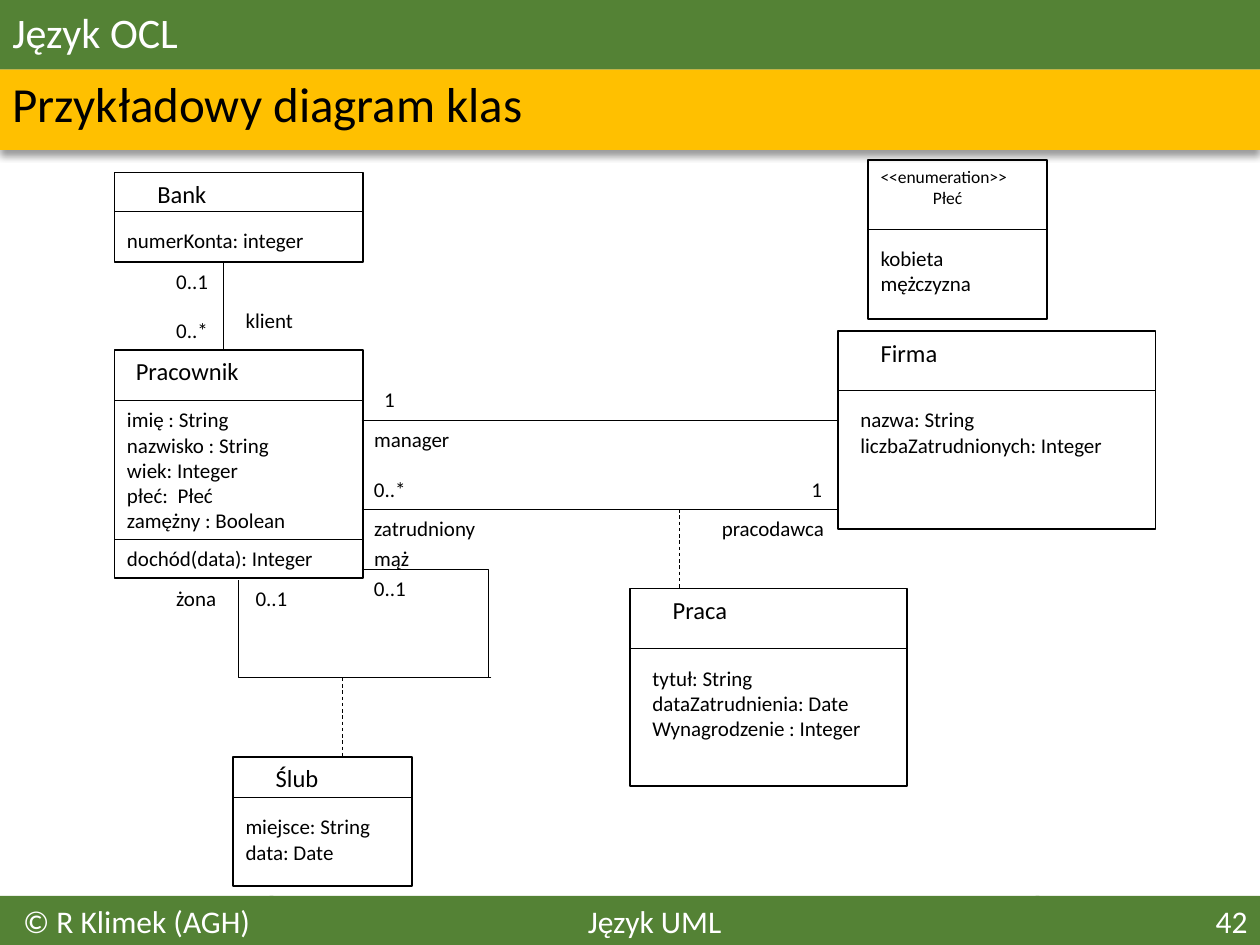
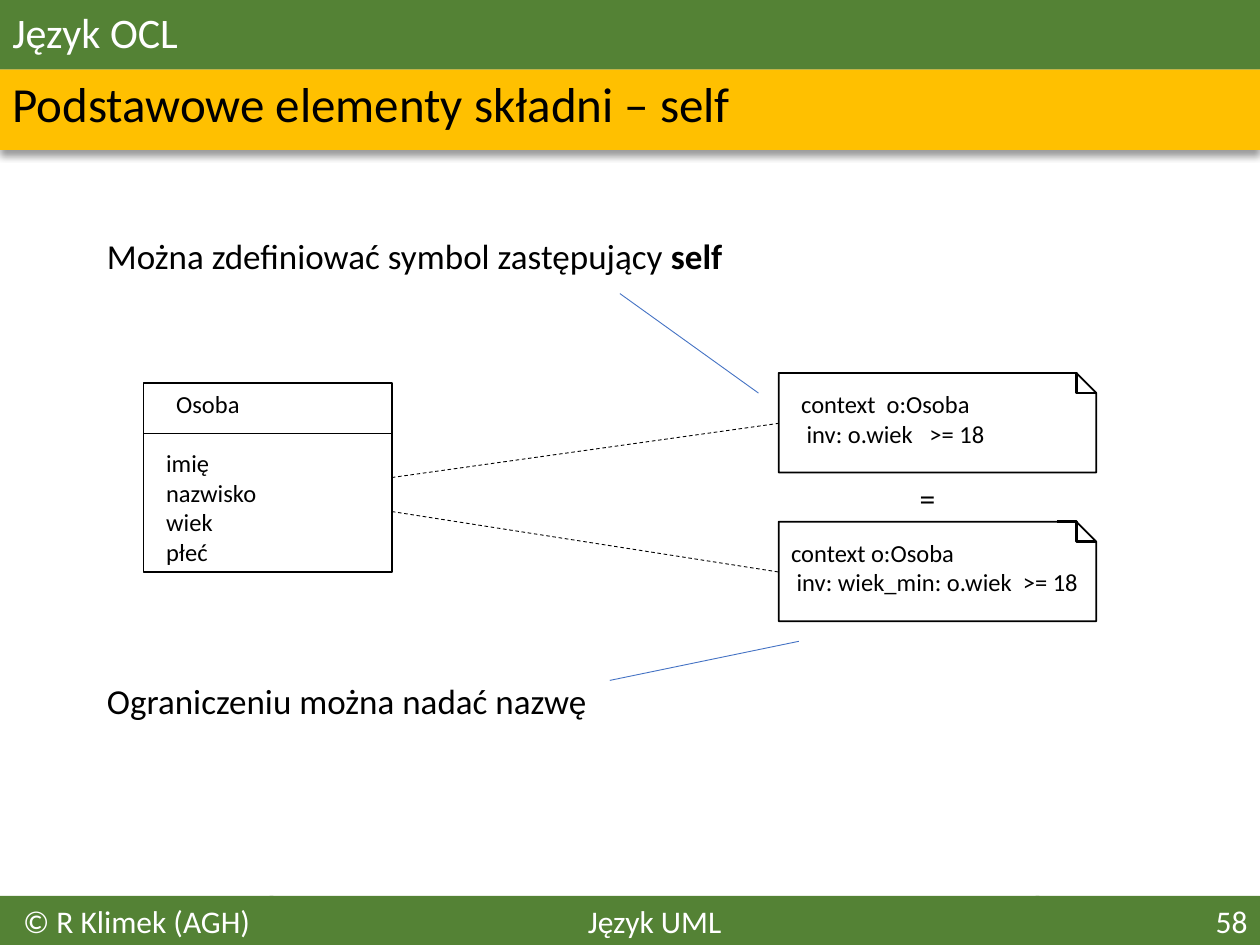
import pptx
import pptx.dml.color
import pptx.enum.dml
import pptx.enum.shapes
import pptx.enum.text
import pptx.oxml
import pptx.oxml.ns
import pptx.util
from pptx.util import Inches

GREEN = pptx.dml.color.RGBColor(0x54, 0x82, 0x35)
AMBER = pptx.dml.color.RGBColor(0xFF, 0xC0, 0x00)
BLUE = pptx.dml.color.RGBColor(0x44, 0x72, 0xC4)
BLACK = pptx.dml.color.RGBColor(0, 0, 0)
WHITE = pptx.dml.color.RGBColor(0xFF, 0xFF, 0xFF)

FONT = "Calibri"
LEFT, CENTER, RIGHT = (pptx.enum.text.PP_ALIGN.LEFT, pptx.enum.text.PP_ALIGN.CENTER,
                       pptx.enum.text.PP_ALIGN.RIGHT)
TOP, MIDDLE = pptx.enum.text.MSO_ANCHOR.TOP, pptx.enum.text.MSO_ANCHOR.MIDDLE
PRESET = pptx.enum.shapes.MSO_SHAPE
CONNECTOR = pptx.enum.shapes.MSO_CONNECTOR
FIT = pptx.enum.text.MSO_AUTO_SIZE.SHAPE_TO_FIT_TEXT
BAND_SHADOW = (
    f'<a:effectLst {pptx.oxml.ns.nsdecls("a")}>'
    '<a:outerShdw blurRad="50800" dist="38100" dir="5400000" algn="t" rotWithShape="0">'
    '<a:srgbClr val="000000"><a:alpha val="40000"/></a:srgbClr>'
    '</a:outerShdw></a:effectLst>')


def apply_formats(target, formats):
    """Set every attribute named in formats on target."""
    for attribute, value in formats.items():
        setattr(target, attribute, value)


def write(shape, lines, size, color=BLACK, aligns=(LEFT,), anchor=TOP, wrap=True, spacing=None):
    """Fill a shape with paragraphs, each a string or a list of (text, bold) runs."""
    frame = shape.text_frame
    apply_formats(frame, {"word_wrap": wrap, "vertical_anchor": anchor})
    for index, line in enumerate(lines):
        paragraph = frame.add_paragraph() if index else frame.paragraphs[0]
        apply_formats(paragraph, {"alignment": aligns[min(index, len(aligns) - 1)],
                                  "line_spacing": spacing})
        for text, bold in [(line, False)] if isinstance(line, str) else line:
            run = paragraph.add_run()
            run.text = text
            apply_formats(run.font, {"name": FONT, "size": pptx.util.Pt(size), "bold": bold})
            run.font.color.rgb = color


def add_text(slide, box, lines, size, **formats):
    """Add a text box at box, given in inches."""
    text = slide.shapes.add_textbox(*map(Inches, box))
    write(text, lines, size, **formats)
    return text


def add_label(slide, box, text, size=12):
    """Add a short label that stays on one line."""
    label = add_text(slide, box, [text], size, wrap=False)
    label.text_frame.auto_size = FIT


def add_panel(slide, box, fill=None, outline=None, preset=PRESET.RECTANGLE):
    """Add a flat preset shape."""
    panel = slide.shapes.add_shape(preset, *map(Inches, box))
    panel.shadow.inherit = False
    if fill is None:
        panel.fill.background()
    else:
        panel.fill.solid()
        panel.fill.fore_color.rgb = fill
    if outline is None:
        panel.line.fill.background()
    else:
        panel.line.color.rgb = outline
        panel.line.width = pptx.util.Pt(1)
    return panel


def add_line(slide, start, end, color=BLACK, width=0.5, dashed=False, kind=CONNECTOR.STRAIGHT):
    """Add a connector without a shadow."""
    line = slide.shapes.add_connector(kind, *map(Inches, (*start, *end)))
    line.line.color.rgb = color
    line.line.width = pptx.util.Pt(width)
    if dashed:
        line.line.dash_style = pptx.enum.dml.MSO_LINE.DASH
    line._element.spPr.append(pptx.oxml.parse_xml(f'<a:effectLst {pptx.oxml.ns.nsdecls("a")}/>'))
    return line


def add_frame(slide, heading, number):
    """Draw the header, the heading band and the footer."""
    band = add_panel(slide, (0, 0.55, 10, 0.64), AMBER)
    properties = band._element.spPr
    properties.remove(properties.find(pptx.oxml.ns.qn("a:effectLst")))
    properties.append(pptx.oxml.parse_xml(BAND_SHADOW))
    add_text(slide, (0, 0.55, 9.98, 0.59), [heading], 28, anchor=MIDDLE, spacing=0.9)
    header = add_panel(slide, (0, 0, 10, 0.55), GREEN)
    write(header, ["Język OCL"], 24, WHITE, anchor=MIDDLE, spacing=0.9)
    for left, width, text, align in ((2.14, 6.11, "Język UML", CENTER),
                                     (0, 2.17, "© R Klimek (AGH)", CENTER),
                                     (8.22, 1.78, number, RIGHT)):
        footer = add_panel(slide, (left, 7.11, width, 0.39), GREEN)
        write(footer, [text], 18, WHITE, (align,))


def add_uml_class(slide, box, name, indent, compartments, name_size=14, size=12):
    """Draw a class; a compartment is (divider offset, text indent, gap, lines)."""
    left, top, width, height = box
    add_panel(slide, box, outline=BLACK)
    add_text(slide, (left + indent, top, 1.26, 0.34), name, name_size, aligns=(LEFT, CENTER))
    for offset, inset, gap, lines in compartments:
        divider = top + offset
        add_line(slide, (left, divider), (left + width, divider))
        add_text(slide, (left + inset, divider + gap, width - inset, height - offset - gap),
                 lines, size)


def add_note(slide, box, text_left, lines):
    """Draw a note with a folded corner."""
    left, top, width, height = box
    note = add_panel(slide, box, WHITE, BLACK, PRESET.SNIP_1_RECTANGLE)
    note.adjustments[0] = 0.2
    right = left + width
    add_line(slide, (right - 0.31, top), (right, top + 0.16), width=1.5, kind=CONNECTOR.ELBOW)
    add_text(slide, (left + text_left, top + 0.08, width - text_left, 0.57), lines, 14)


def add_marriage_loop(slide, husband_end, corner, wife_end):
    """Draw the association of the employee class with itself."""
    upper = add_line(slide, husband_end, corner, kind=CONNECTOR.ELBOW)
    guides = upper._element.spPr.prstGeom.get_or_add_avLst()
    guides.append(pptx.oxml.parse_xml(
        f'<a:gd {pptx.oxml.ns.nsdecls("a")} name="adj1" fmla="val 97900"/>'))
    lower = add_line(slide, corner, wife_end, kind=CONNECTOR.ELBOW)
    lower._element.spPr.prstGeom.set("prst", "bentConnector2")


def build_class_diagram(slide):
    """Build the sample class diagram."""
    add_frame(slide, "Przykładowy diagram klas", "42")
    classes = (
        ((0.91, 2.78, 1.97, 1.81), ["Pracownik"], 0.07,
         [(0.4, 0, 0, ["imię : String", "nazwisko : String", "wiek: Integer",
                       "płeć:  Płeć", "zamężny : Boolean"]),
          (1.5, 0, 0, ["dochód(data): Integer"])]),
        ((6.65, 2.63, 2.52, 1.57), ["Firma"], 0.24,
         [(0.47, 0.08, 0.08, ["nazwa: String", "liczbaZatrudnionych: Integer"])]),
        ((5, 4.67, 2.2, 1.57), ["Praca"], 0.24,
         [(0.48, 0.08, 0.08, ["tytuł: String", "dataZatrudnienia: Date",
                              "Wynagrodzenie : Integer"])]),
        ((1.85, 6.01, 1.42, 1.02), ["Ślub"], 0.24,
         [(0.32, 0, 0.08, ["miejsce: String", "data: Date"])]),
        ((0.91, 1.37, 1.97, 0.71), ["Bank"], 0.24,
         [(0.31, 0, 0.08, ["numerKonta: integer"])]),
    )
    for uml_class in classes:
        add_uml_class(slide, *uml_class)
    add_uml_class(slide, (6.89, 1.27, 1.42, 1.26), ["<<enumeration>>", "Płeć"], 0,
                  [(0.55, 0, 0.08, ["kobieta", "mężczyzna"])], name_size=10)

    for start, end, dashed in (((2.87, 3.34), (6.65, 3.34), False),
                               ((2.87, 4.04), (6.65, 4.04), False),
                               ((1.77, 2.08), (1.77, 2.78), False),
                               ((5.39, 4.04), (5.39, 4.67), True),
                               ((2.72, 5.38), (2.72, 6.01), True)):
        add_line(slide, start, end, dashed=dashed)
    add_marriage_loop(slide, (2.87, 4.52), (3.9, 5.38), (1.89, 4.6))

    for left, top, width, text in ((2.95, 3.02, 0.29, "1"), (2.87, 3.34, 0.81, "manager"),
                                   (2.87, 3.73, 0.46, "0..*"), (6.34, 3.73, 0.29, "1"),
                                   (2.87, 4.04, 1.01, "zatrudniony"),
                                   (5.63, 4.04, 1.02, "pracodawca"),
                                   (2.87, 4.28, 0.48, "mąż"), (2.87, 4.52, 0.46, "0..1"),
                                   (1.3, 4.6, 0.52, "żona"), (1.93, 4.6, 0.46, "0..1"),
                                   (1.3, 2.08, 0.46, "0..1"), (1.3, 2.47, 0.46, "0..*"),
                                   (1.85, 2.39, 0.58, "klient")):
        add_label(slide, (left, top, width, 0.3), text)


def build_self_syntax(slide):
    """Build the slide on replacing self and naming a constraint."""
    add_frame(slide, "Podstawowe elementy składni – self", "58")
    statements = ((1.85, [("Można zdefiniować symbol zastępujący ", False), ("self", True)]),
                  (5.38, "Ograniczeniu można nadać nazwę"))
    for top, statement in statements:
        add_text(slide, (0.75, top, 8.75, 0.4), [statement], 20, anchor=MIDDLE, spacing=0.9)
    add_uml_class(slide, (1.14, 3.04, 1.97, 1.5), ["Osoba"], 0.16,
                  [(0.4, 0.08, 0.07, ["imię", "nazwisko", "wiek", "płeć"])], size=14)
    add_note(slide, (6.18, 2.96, 2.52, 0.79), 0.08, ["context  o:Osoba", " inv: o.wiek   >= 18"])
    add_note(slide, (6.18, 4.14, 2.52, 0.79), 0,
             ["context o:Osoba", " inv: wiek_min: o.wiek  >= 18"])
    add_label(slide, (7.2, 3.75, 0.35, 0.4), "=", 18)
    for start, end, color, dashed in (((3.11, 3.79), (6.18, 3.36), BLACK, True),
                                      ((3.11, 4.06), (6.18, 4.54), BLACK, True),
                                      ((4.92, 2.33), (6.02, 3.12), BLUE, False),
                                      ((4.84, 5.4), (6.34, 5.09), BLUE, False)):
        add_line(slide, start, end, color, dashed=dashed)


def main():
    """Build and save the presentation."""
    presentation = pptx.Presentation()
    apply_formats(presentation, {"slide_width": Inches(10), "slide_height": Inches(7.5)})
    for build in (build_class_diagram, build_self_syntax):
        build(presentation.slides.add_slide(presentation.slide_layouts[6]))
    presentation.save("out.pptx")


if __name__ == "__main__":
    main()
